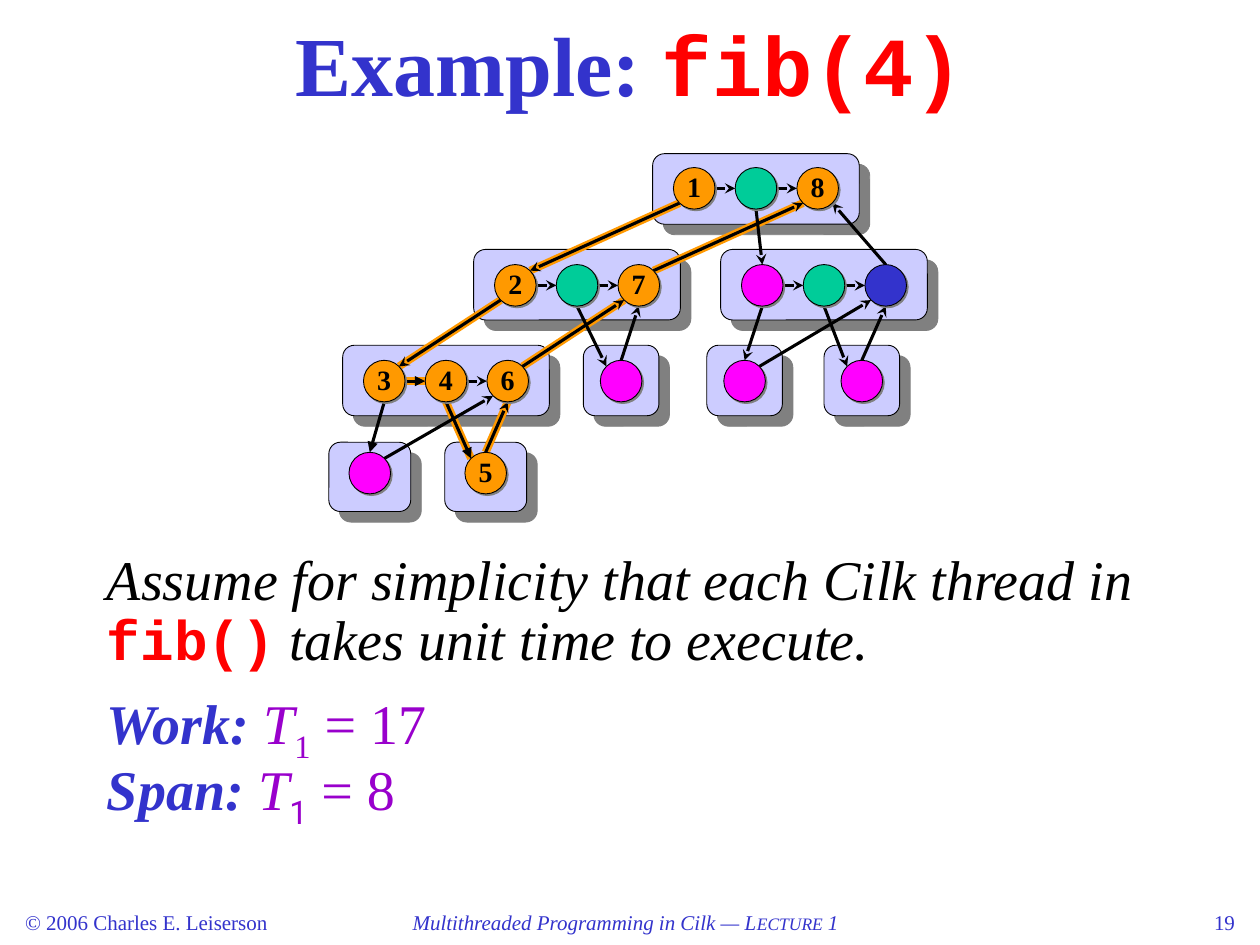
from math import cos, radians, sin

from lxml.etree import SubElement
from pptx import Presentation
from pptx.dml.color import RGBColor
from pptx.enum.shapes import MSO_CONNECTOR, MSO_SHAPE
from pptx.enum.text import MSO_ANCHOR as ANCHOR, PP_ALIGN as ALIGN
from pptx.oxml.ns import qn
from pptx.util import Inches, Pt

SERIF, MONO = "Times New Roman", "Courier New"
BLUE, RED, PURPLE, BLACK = "3333CC", "FF0000", "9900CC", "000000"
ORANGE, GREEN, MAGENTA = "FF9900", "00CC99", "FF00FF"
FRAME, SHADOW, WHITE = "CCCCFF", "808080", "FFFFFF"

# (text, size, font, colour, style): b bold, i italic, s subscript
TEXTS = [
    ((0, 0, 10, 1), ALIGN.CENTER, ANCHOR.MIDDLE, 1, None, [
        ("Example: ", 48, SERIF, BLUE, "b"),
        ("fib(4)", 48, MONO, RED, "b")]),
    ((0.75, 4.33, 8.43, 1.06), ALIGN.LEFT, ANCHOR.TOP, 0.9, None, [
        ("Assume for simplicity that each Cilk thread in ", 32, SERIF, BLACK, "i"),
        ("fib()", 32, MONO, RED, "b"),
        (" takes unit time to execute.", 32, SERIF, BLACK, "i")]),
    ((0.75, 5.95, 5.32, 0.65), ALIGN.LEFT, ANCHOR.TOP, 0.9, WHITE, [
        ("Span: ", 32, SERIF, BLUE, "bi"),
        ("T", 32, SERIF, PURPLE, "i"),
        ("1", 32, "Roboto", PURPLE, "s"),
        (" = 8", 32, SERIF, PURPLE, "")]),
    ((0.75, 5.42, 2.88, 0.65), ALIGN.LEFT, ANCHOR.TOP, 0.9, WHITE, [
        ("Work: ", 32, SERIF, BLUE, "bi"),
        ("T", 32, SERIF, PURPLE, "i"),
        ("1", 32, SERIF, PURPLE, "s"),
        (" = 17", 32, SERIF, PURPLE, "")]),
    ((0.1, 7.17, 2.42, 0.33), ALIGN.LEFT, ANCHOR.TOP, 1, None, [
        ("© 2006 Charles E. Leiserson", 12, SERIF, BLUE, "")]),
    ((2.63, 7.17, 4.67, 0.33), ALIGN.CENTER, ANCHOR.TOP, 1, None, [
        ("Multithreaded Programming in Cilk — L", 12, SERIF, BLUE, "i"),
        ("ECTURE", 10, SERIF, BLUE, "i"),
        (" 1", 12, SERIF, BLUE, "i")]),
    ((7.4, 7.17, 2.5, 0.33), ALIGN.RIGHT, ANCHOR.TOP, 1, None, [
        ("19", 12, SERIF, BLUE, "")]),
]

ROWS = [(1.22, 0.56, 1.33), (1.98, 0.56, 2.1), (2.74, 0.56, 2.86), (3.51, 0.55, 3.59)]
FRAMES = [
    (0, 5.18, 1.64, ["1", "fork1", "8"]),
    (1, 3.76, 1.64, ["2", "fork2", "7"]),
    (1, 5.72, 1.64, ["start", "fork3", "join"]),
    (2, 2.72, 1.64, ["3", "4", "6"]),
    (2, 4.63, 0.6, ["leaf1"]),
    (2, 5.61, 0.6, ["leaf2"]),
    (2, 6.54, 0.6, ["leaf3"]),
    (3, 2.61, 0.65, ["leaf4"]),
    (3, 3.53, 0.65, ["5"]),
]
COLORS = {"fork": GREEN, "join": BLUE, "leaf": MAGENTA, "star": MAGENTA}
EDGES = [
    ("1", "SW", "2", "NE"), ("fork1", "S", "start", "N"),
    ("join", "N", "8", "SE"), ("7", "NE", "8", "SW"),
    ("2", "SW", "3", "NE"), ("fork2", "S", "leaf1", "NW"),
    ("leaf1", "N", "7", "S"), ("6", "NE", "7", "SW"),
    ("start", "S", "leaf2", "N"), ("fork3", "S", "leaf3", "NW"),
    ("leaf2", "NE", "join", "SW"), ("leaf3", "N", "join", "S"),
    ("3", "S", "leaf4", "N"), ("leaf4", "NE", "6", "SW"),
    ("4", "S", "5", "NW"), ("5", "N", "6", "S"),
]
EDGES += [(a, "E", b, "W") for *_, names in FRAMES for a, b in zip(names, names[1:])]
CRITICAL = {("1", "2"), ("2", "3"), ("3", "4"), ("4", "5"), ("5", "6"), ("6", "7"), ("7", "8")}
TRIANGLES = {("3", "4"), ("3", "leaf4"), ("4", "5")}
COMPASS = ["E", "SE", "S", "SW", "W", "NW", "N", "NE"]
DIAMETER, PITCH = 0.33, 0.49


def rgb(color):
    return RGBColor.from_string(color)


def style_font(font, size, name, color, style):
    font.size, font.name = Pt(size), name
    font.color.rgb = rgb(color)
    font.bold, font.italic = "b" in style, "i" in style


def fill_text(tf, runs, align, anchor, spacing, wrap=True):
    tf.word_wrap, tf.vertical_anchor = wrap, anchor
    p = tf.paragraphs[0]
    p.alignment, p.line_spacing = align, spacing
    if len(runs) == 1:
        style_font(p.font, *runs[0][1:])
    for text, *look in runs:
        r = p.add_run()
        r.text = text
        if len(runs) > 1:
            style_font(r.font, *look)
        if "s" in look[-1]:
            r._r.get_or_add_rPr().set("baseline", "-25000")


def add_block(kind, box, color, distance):
    sp = shapes.add_shape(kind, *map(Inches, box))
    sp.fill.solid()
    sp.fill.fore_color.rgb = rgb(color)
    sp.line.color.rgb = rgb(BLACK)
    sp.line.width = Pt(0.5)
    sp.shadow.inherit = False
    effects = sp._element.spPr.find(qn("a:effectLst"))
    shadow = SubElement(effects, qn("a:outerShdw"), dist=str(Pt(distance)),
                        dir="2700000", algn="ctr", rotWithShape="0")
    SubElement(shadow, qn("a:srgbClr"), val=SHADOW)
    return sp


def node_point(name, side):
    x, y = nodes[name]
    angle = radians(45 * COMPASS.index(side))
    radius = DIAMETER / 2
    return x + radius * (1 + cos(angle)), y + radius * (1 + sin(angle))


def add_edge(edge, color, width, head=None):
    a, a_side, b, b_side = edge
    ends = node_point(a, a_side) + node_point(b, b_side)
    line = shapes.add_connector(MSO_CONNECTOR.STRAIGHT, *map(Inches, ends))
    line.line.color.rgb = rgb(color)
    line.line.width = Pt(width)
    if head:
        SubElement(line.line._get_or_add_ln(), qn("a:tailEnd"), type=head)
    SubElement(line._element.spPr, qn("a:effectLst"))


prs = Presentation()
prs.slide_width, prs.slide_height = Inches(10), Inches(7.5)
shapes = prs.slides.add_slide(prs.slide_layouts[6]).shapes

for box, align, anchor, spacing, fill, runs in TEXTS:
    sp = shapes.add_textbox(*map(Inches, box))
    if fill:
        sp.fill.solid()
        sp.fill.fore_color.rgb = rgb(fill)
    fill_text(sp.text_frame, runs, align, anchor, spacing)

nodes = {}
for row, left, width, names in FRAMES:
    top, height, node_top = ROWS[row]
    add_block(MSO_SHAPE.ROUNDED_RECTANGLE, (left, top, width, height), FRAME, 8.5)
    margin = (width - DIAMETER - PITCH * (len(names) - 1)) / 2
    for i, name in enumerate(names):
        nodes[name] = (left + margin + PITCH * i, node_top)

for edge in EDGES:
    if (edge[0], edge[2]) in CRITICAL:
        add_edge(edge, ORANGE, 4.5)
for edge in EDGES:
    add_edge(edge, BLACK, 1.75, "triangle" if (edge[0], edge[2]) in TRIANGLES else "stealth")

for name, (x, y) in nodes.items():
    sp = add_block(MSO_SHAPE.OVAL, (x, y, DIAMETER, DIAMETER), COLORS.get(name[:4], ORANGE), 1.4)
    if name.isdigit():
        fill_text(sp.text_frame, [(name, 16, SERIF, BLACK, "b")],
                  ALIGN.CENTER, ANCHOR.MIDDLE, 0.9, wrap=False)

prs.save("out.pptx")
